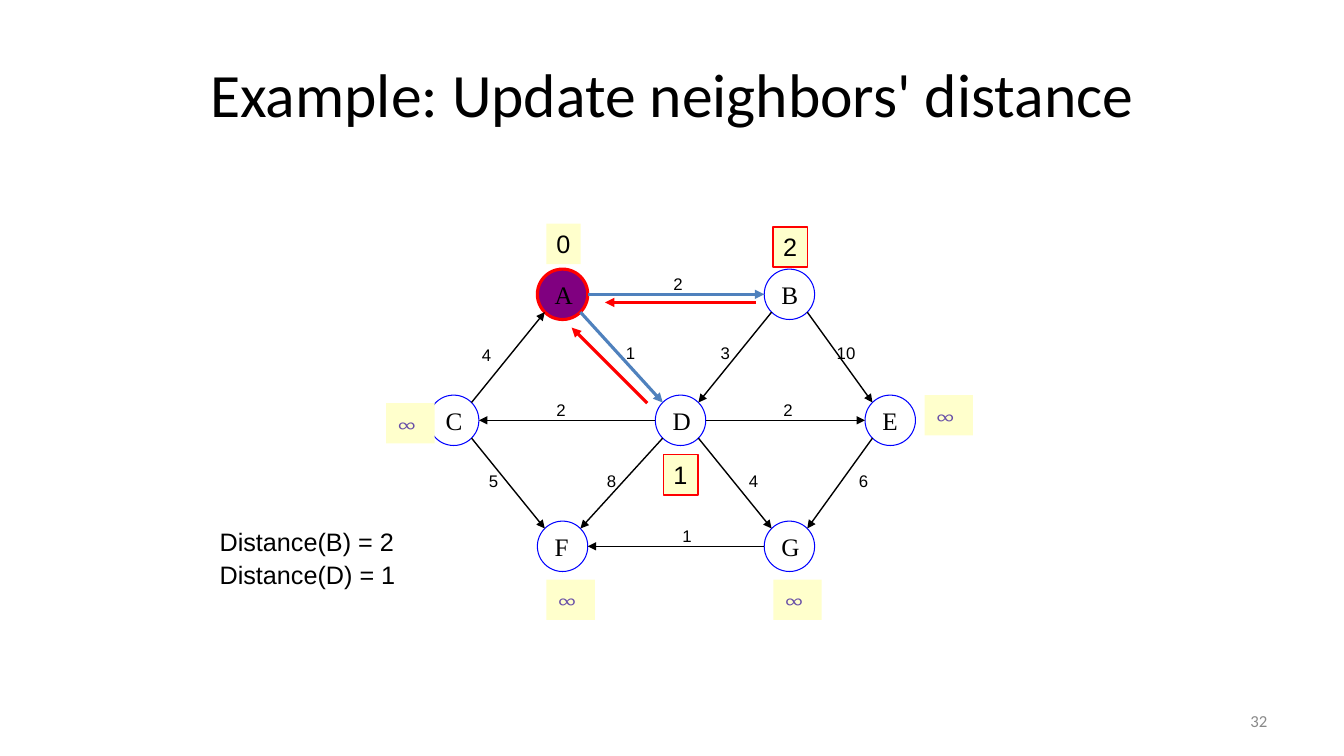
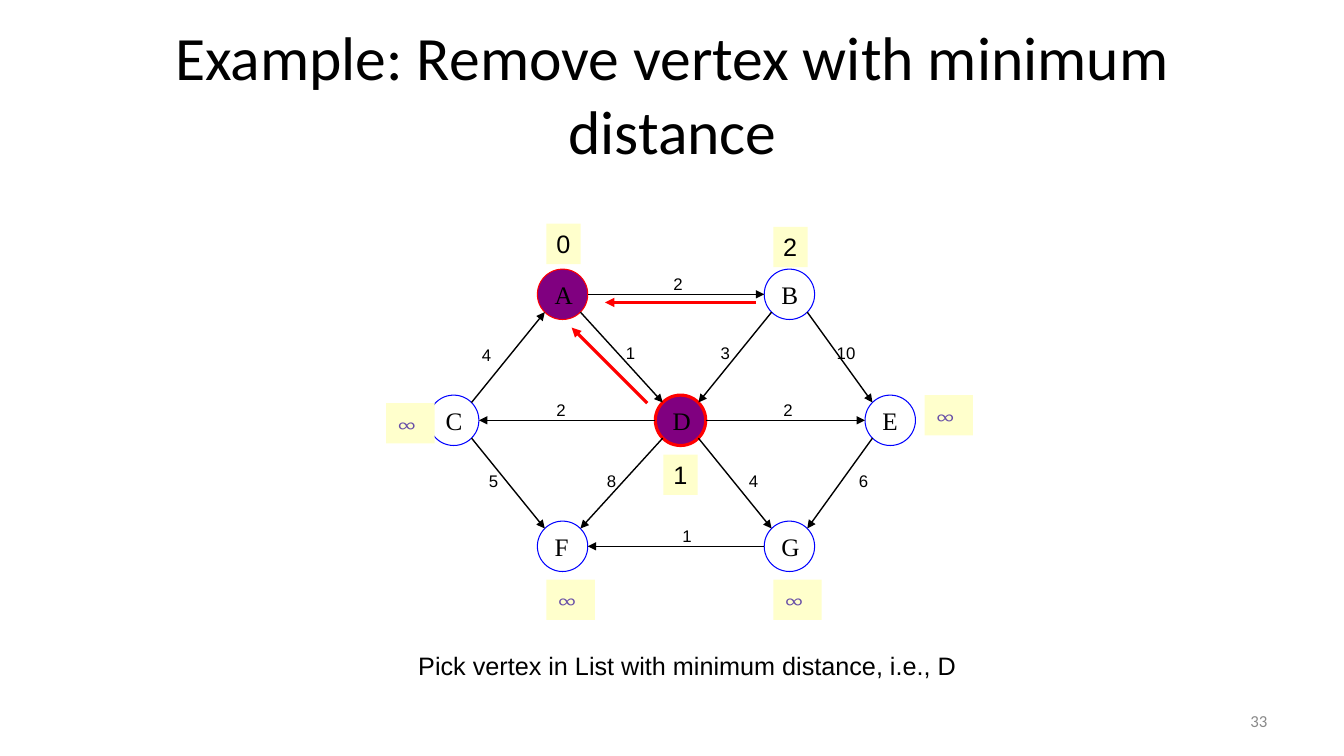
from dataclasses import dataclass
from math import copysign, sqrt

from lxml import etree
from pptx import Presentation
from pptx.dml.color import RGBColor
from pptx.enum.shapes import MSO_CONNECTOR, MSO_SHAPE
from pptx.enum.text import MSO_ANCHOR, MSO_AUTO_SIZE, PP_ALIGN
from pptx.oxml.ns import qn
from pptx.slide import Slide
from pptx.util import Inches, Pt

OVAL, RECT = MSO_SHAPE.OVAL, MSO_SHAPE.RECTANGLE
STRAIGHT = MSO_CONNECTOR.STRAIGHT
LEFT, CENTER, RIGHT = PP_ALIGN.LEFT, PP_ALIGN.CENTER, PP_ALIGN.RIGHT
TOP, MIDDLE = MSO_ANCHOR.TOP, MSO_ANCHOR.MIDDLE
NO_FIT = MSO_AUTO_SIZE.NONE
TITLE_ONLY = 5


@dataclass(frozen=True)
class Style:
    name: str
    size: float
    color: str = "000000"


@dataclass(frozen=True)
class Theme:
    title: Style = Style("Calibri", 44)
    number: Style = Style("Calibri", 12, "898989")
    vertex: Style = Style("Times New Roman", 18)
    weight: Style = Style("Arial", 12)
    body: Style = Style("Arial", 18)
    infinity: Style = Style("Cambria", 18, "674EA7")
    ink: str = "000000"
    ring: str = "0000FF"
    visited: str = "800080"
    accent: str = "FF0000"
    relaxed: str = "4F81BD"
    tag: str = "FFFFCC"
    hairline: float = 0.75
    edge: float = 1
    frame: float = 1.25
    heavy: float = 2.25


@dataclass(frozen=True)
class Vertex:
    x: float  # centre
    y: float
    tag_left: float
    tag_top: float
    distance: str


@dataclass(frozen=True)
class Edge:
    ends: str  # from and to
    weight: str
    left: float  # place of the weight
    top: float


@dataclass(frozen=True)
class Note:
    text: str
    left: float
    top: float
    width: float


@dataclass(frozen=True)
class Step:
    number: int
    title: str
    visited: str
    current: str
    notes: tuple[Note, ...]
    updated: str = ""
    relaxed: tuple[str, ...] = ()


THEME = Theme()
RADIUS = 0.25
TAG_HEIGHT = 0.4
INFINITY = "∞"

VERTICES = {
    "A": Vertex(5.58, 2.92, 5.42, 2.22, "0"),
    "B": Vertex(7.83, 2.92, 7.67, 2.25, "2"),
    "C": Vertex(4.5, 4.17, 3.83, 4, INFINITY),
    "D": Vertex(6.75, 4.17, 6.58, 4.51, "1"),
    "E": Vertex(8.83, 4.17, 9.17, 3.92, INFINITY),
    "F": Vertex(5.58, 5.42, 5.42, 5.75, INFINITY),
    "G": Vertex(7.83, 5.42, 7.67, 5.75, INFINITY),
}
EDGES = [
    Edge("AB", "2", 6.58, 2.67),
    Edge("AD", "1", 6.11, 3.35),
    Edge("BD", "3", 7.05, 3.35),
    Edge("BE", "10", 8.2, 3.35),
    Edge("CA", "4", 4.68, 3.37),
    Edge("CF", "5", 4.75, 4.62),
    Edge("DC", "2", 5.42, 3.92),
    Edge("DE", "2", 7.67, 3.92),
    Edge("DF", "8", 5.92, 4.62),
    Edge("DG", "4", 7.33, 4.62),
    Edge("EG", "6", 8.42, 4.62),
    Edge("GF", "1", 6.67, 5.17),
]
BACK_ARROWS = [((6.42, 4), (5.67, 3.25)), ((7.5, 3), (6, 3))]

STEPS = [
    Step(32, "Example: Update neighbors' distance", "A", "A",
         (Note("Distance(B) = 2", 2.08, 5.17, 2.13),
          Note("Distance(D) = 1", 2.08, 5.5, 2.13)),
         updated="BD", relaxed=("AB", "AD")),
    Step(33, "Example: Remove vertex with minimum distance", "AD", "D",
         (Note("Pick vertex in List with minimum distance, i.e., D",
               4.05, 6.4, 5.53),)),
]


def rgb(value: str) -> RGBColor:
    return RGBColor.from_string(value)


def write(sp, text: str, style: Style, align=LEFT, anchor=MIDDLE,
          wrap: bool = False) -> None:
    tf = sp.text_frame
    frame = {"auto_size": NO_FIT, "word_wrap": wrap, "vertical_anchor": anchor}
    for key, value in frame.items():
        setattr(tf, key, value)
    p = tf.paragraphs[0]
    p.alignment = align
    r = p.add_run()
    r.text = text
    for key, value in {"name": style.name, "size": Pt(style.size)}.items():
        setattr(r.font, key, value)
    r.font.color.rgb = rgb(style.color)


def add_text(s: Slide, box: tuple, text: str, style: Style, **layout) -> None:
    write(s.shapes.add_textbox(*map(Inches, box)), text, style, **layout)


def add_figure(s: Slide, kind, box: tuple, fill: str | None,
               line: str | None, width: float):
    sp = s.shapes.add_shape(kind, *map(Inches, box))
    sp.shadow.inherit = False
    if fill:
        sp.fill.solid()
        sp.fill.fore_color.rgb = rgb(fill)
    else:
        sp.fill.background()
    if line:
        sp.line.color.rgb = rgb(line)
        sp.line.width = Pt(width)
    else:
        sp.line.fill.background()
    return sp


def add_arrow(s: Slide, start: tuple, end: tuple, color: str,
              width: float) -> None:
    cx = s.shapes.add_connector(STRAIGHT, *map(Inches, (*start, *end)))
    cx.line.color.rgb = rgb(color)
    cx.line.width = Pt(width)
    etree.SubElement(cx.line._get_or_add_ln(), qn("a:tailEnd"), type="triangle")
    etree.SubElement(cx._element.spPr, qn("a:effectLst"))


def rim(v: Vertex, other: Vertex) -> tuple[float, float]:
    """Point on the circle of v, level with or at 45 degrees towards other."""
    dx = copysign(RADIUS, other.x - v.x)
    if v.y == other.y:
        return v.x + dx, v.y
    dy = copysign(RADIUS, other.y - v.y)
    return v.x + dx / sqrt(2), v.y + dy / sqrt(2)


def add_vertex(s: Slide, name: str, step: Step) -> None:
    v = VERTICES[name]
    seen = name in step.visited
    box = (v.x - RADIUS, v.y - RADIUS, 2 * RADIUS, 2 * RADIUS)
    sp = add_figure(s, OVAL, box, THEME.visited if seen else None,
                    THEME.accent if seen else THEME.ring,
                    THEME.heavy if name == step.current else THEME.hairline)
    write(sp, name, THEME.vertex)


def add_edge(s: Slide, edge: Edge, step: Step) -> None:
    a, b = (VERTICES[name] for name in edge.ends)
    relaxed = edge.ends in step.relaxed
    add_arrow(s, rim(a, b), rim(b, a),
              THEME.relaxed if relaxed else THEME.ink,
              THEME.heavy if relaxed else THEME.edge)


def add_weight(s: Slide, edge: Edge) -> None:
    width = 0.2 + 0.09 * len(edge.weight)
    add_text(s, (edge.left, edge.top, width, 0.3), edge.weight, THEME.weight)


def add_distance(s: Slide, name: str, step: Step) -> None:
    v = VERTICES[name]
    unknown = v.distance == INFINITY
    box = (v.tag_left, v.tag_top, 0.48 if unknown else 0.34, TAG_HEIGHT)
    sp = add_figure(s, RECT, box, THEME.tag,
                    THEME.accent if name in step.updated else None, THEME.frame)
    write(sp, v.distance, THEME.infinity if unknown else THEME.body,
          anchor=TOP, wrap=unknown)


def add_step(prs, step: Step) -> None:
    s = prs.slides.add_slide(prs.slide_layouts[TITLE_ONLY])

    # Title and slide number
    title = s.shapes.title
    place = {"left": 0.67, "top": 0.3, "width": 12, "height": 1.25}
    for key, value in place.items():
        setattr(title, key, Inches(value))
    write(title, step.title, THEME.title, align=CENTER, wrap=True)
    add_text(s, (9.56, 6.95, 3.11, 0.4), str(step.number), THEME.number,
             align=RIGHT, wrap=True)

    # Graph
    for name in VERTICES:
        add_vertex(s, name, step)
    for edge in EDGES:
        add_edge(s, edge, step)
    for edge in EDGES:
        add_weight(s, edge)
    for name in VERTICES:
        add_distance(s, name, step)

    # Explanations and arrows back to the predecessor
    for note in step.notes:
        add_text(s, (note.left, note.top, note.width, 0.4), note.text,
                 THEME.body, anchor=TOP)
    for start, end in BACK_ARROWS:
        add_arrow(s, start, end, THEME.accent, THEME.heavy)


def main() -> None:
    prs = Presentation()
    prs.slide_width, prs.slide_height = Inches(13.33), Inches(7.5)
    for step in STEPS:
        add_step(prs, step)
    prs.save("out.pptx")


if __name__ == "__main__":
    main()
